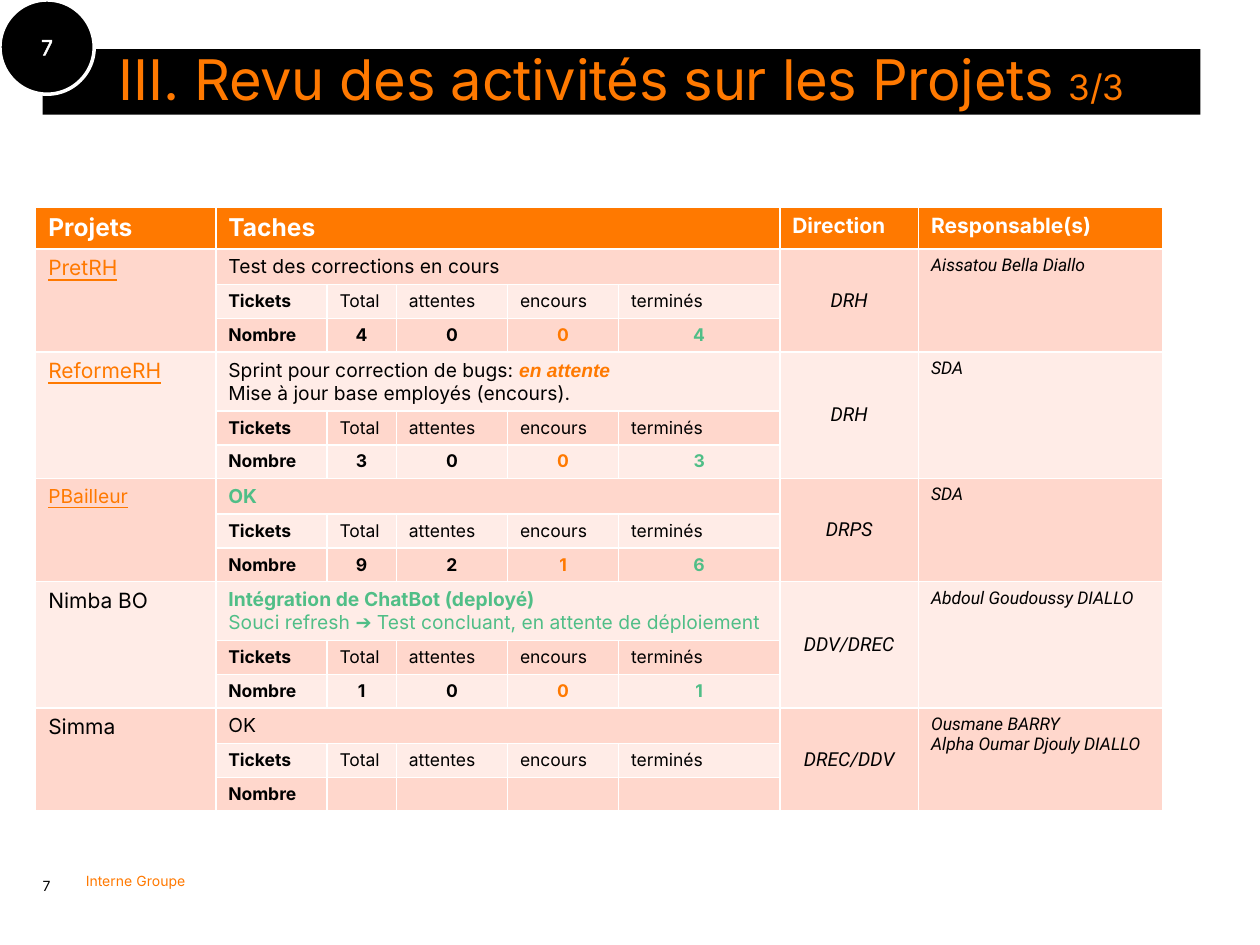
from lxml.etree import SubElement
from pptx import Presentation
from pptx.dml.color import RGBColor
from pptx.enum.shapes import MSO_SHAPE
from pptx.enum.text import MSO_ANCHOR, PP_ALIGN
from pptx.oxml import parse_xml
from pptx.oxml.ns import nsdecls, qn
from pptx.util import Cm, Pt

ORANGE = RGBColor(0xFF, 0x79, 0x00)
GREEN = RGBColor(0x50, 0xBE, 0x87)
BLACK = RGBColor(0, 0, 0)
WHITE = RGBColor(0xFF, 0xFF, 0xFF)
BANDS = RGBColor(0xFF, 0xD7, 0xCC), RGBColor(0xFF, 0xEC, 0xE7)

# Content: a text is a list of paragraphs, each a list of (words, format) runs
PAGE = "7"
TITLE = [[("III. Revu des activités sur les Projets ", {}), ("3/3", {"size": 20})]]
FOOTER = "Interne Groupe"
HEADERS = [(0, "Projets", 14), (1, "Taches", 14), (6, "Direction", 12), (7, "Responsable(s)", 12)]
TICKETS = ["Tickets", "Total", "attentes", "encours", "terminés"]
COUNT_COLORS = [BLACK, BLACK, ORANGE, GREEN]
LINK = {"color": ORANGE, "underline": True}
DONE = {"color": GREEN, "bold": True}
PROJECTS = [
    {"name": "PretRH", "style": {"size": 12, **LINK},
     "tasks": [[("Test des corrections en cours", {})]],
     "counts": ["4", "0", "0", "4"], "unit": "DRH", "owners": ["Aissatou Bella Diallo"]},
    {"name": "ReformeRH", "style": {"size": 12, **LINK},
     "tasks": [[("Sprint pour correction de bugs: ", {}),
                ("en attente", {"font": "Arial", "color": ORANGE, "bold": True, "italic": True})],
               [("Mise à jour base employés (encours).", {})]],
     "counts": ["3", "0", "0", "3"], "unit": "DRH", "owners": ["SDA"]},
    {"name": "PBailleur", "style": {"size": 11, **LINK},
     "tasks": [[("OK", DONE)]],
     "counts": ["9", "2", "1", "6"], "unit": "DRPS", "owners": ["SDA"]},
    {"name": "Nimba BO", "style": {"size": 12},
     "tasks": [[("Intégration de ChatBot (deployé)", DONE)],
               [("Souci refresh ➔ Test concluant, en attente de déploiement", {"color": GREEN})]],
     "counts": ["1", "0", "0", "1"], "unit": "DDV/DREC", "owners": ["Abdoul Goudoussy DIALLO"]},
    {"name": "Simma", "style": {"size": 12},
     "tasks": [[("OK", {})]],
     "counts": ["", "", "", ""], "unit": "DREC/DDV",
     "owners": ["Ousmane BARRY", "Alpha Oumar Djouly DIALLO"]},
]
COL_WIDTHS = [3.63, 2.24, 1.4, 2.24, 2.24, 3.25, 2.8, 4.92]
HEADER_H, TICKET_H = 0.84, 0.67
TASK_H = {1: 0.72, 2: 1.19}  # by number of lines


def write(tf, text, align=PP_ALIGN.LEFT, line=None, **fmt):
    """Fill a text frame with a string or with paragraphs of runs."""
    paragraphs = [[(text, {})]] if isinstance(text, str) else text
    for i, runs in enumerate(paragraphs):
        p = tf.add_paragraph() if i else tf.paragraphs[0]
        p.alignment = align
        if line:
            p.line_spacing = line
        for words, own in runs:
            f = {"size": 10, "font": "Inter", "color": BLACK, **fmt, **own}
            if not words:
                SubElement(p._p, qn("a:endParaRPr")).set("sz", str(f["size"] * 100))
                continue
            r = p.add_run()
            r.text = words
            r.font.size, r.font.name = Pt(f["size"]), f["font"]
            r.font.color.rgb = f["color"]
            r.font.bold = f.get("bold", False)
            r.font.italic = f.get("italic", False)
            r.font.underline = f.get("underline", False)
            if "spacing" in f:
                r.font._element.set("spc", str(f["spacing"]))


def set_margins(tf, size=0):
    tf.margin_left = tf.margin_top = tf.margin_right = tf.margin_bottom = size


def add_label(text, box, wrap=True, anchor=MSO_ANCHOR.TOP, **fmt):
    tf = s.shapes.add_textbox(*map(Cm, box)).text_frame
    set_margins(tf)
    tf.word_wrap, tf.vertical_anchor = wrap, anchor
    write(tf, text, **fmt)


def fill_cell(row, col, text, fill, span=(1, 1), anchor=MSO_ANCHOR.TOP, **fmt):
    cell = table.cell(row, col)
    if span != (1, 1):
        cell.merge(table.cell(row + span[0] - 1, col + span[1] - 1))
    cell.fill.solid()
    cell.fill.fore_color.rgb = fill
    cell.vertical_anchor = anchor
    write(cell.text_frame, text, **fmt)


prs = Presentation()
prs.slide_width, prs.slide_height = Cm(25.4), Cm(19.05)
s = prs.slides.add_slide(prs.slide_layouts[5])

# Title bar
title = s.shapes.title
title.left, title.top, title.width, title.height = map(Cm, (0.86, 0.99, 23.34, 1.32))
title.fill.solid()
title.fill.fore_color.rgb = BLACK
set_margins(title.text_frame)
title.text_frame.vertical_anchor = MSO_ANCHOR.MIDDLE
write(title.text_frame, TITLE, align=PP_ALIGN.CENTER, line=0.9,
      size=32, color=ORANGE, spacing=-20)

# Footer
add_label(PAGE, (0.86, 16.79, 0.76, 1.24), anchor=MSO_ANCHOR.BOTTOM, line=0.85, size=8)
add_label(FOOTER, (1.73, 17.58, 2.06, 0.33), wrap=False, size=8, color=ORANGE)

# Project table: one header row, then three rows for each project
heights = [HEADER_H]
for project in PROJECTS:
    heights += [TASK_H[len(project["tasks"])], TICKET_H, TICKET_H]
table = s.shapes.add_table(len(heights), len(COL_WIDTHS), Cm(0.72), Cm(4.17),
                           Cm(sum(COL_WIDTHS)), Cm(sum(heights))).table
for column, width in zip(table.columns, COL_WIDTHS):
    column.width = Cm(width)
for row, height in zip(table.rows, heights):
    row.height = Cm(height)

for col, text, size in HEADERS:
    fill_cell(0, col, text, ORANGE, span=(1, 5 if col == 1 else 1),
              size=size, color=WHITE, bold=True)

for i, project in enumerate(PROJECTS):
    top = 1 + 3 * i
    band, other = BANDS[i % 2], BANDS[(i + 1) % 2]
    fill_cell(top, 0, project["name"], band, span=(3, 1), **project["style"])
    fill_cell(top, 1, project["tasks"], band, span=(1, 5), size=11)
    fill_cell(top, 6, project["unit"], band, span=(3, 1), anchor=MSO_ANCHOR.MIDDLE,
              align=PP_ALIGN.CENTER, size=11, font="Roboto", italic=True)
    fill_cell(top, 7, [[(owner, {})] for owner in project["owners"]], band,
              span=(3, 1), font="Roboto", italic=True)
    for col, text in enumerate(TICKETS, 1):
        fill_cell(top + 1, col, text, other, bold=col == 1)
    fill_cell(top + 2, 1, "Nombre", band, bold=True)
    for col, (count, color) in enumerate(zip(project["counts"], COUNT_COLORS), 2):
        fill_cell(top + 2, col, count, band, align=PP_ALIGN.CENTER, color=color, bold=True)

# Page number badge
badge = s.shapes.add_shape(MSO_SHAPE.OVAL, 0, 0, Cm(1.9), Cm(1.9))
badge.shadow.inherit = False
badge.fill.solid()
badge.fill.fore_color.rgb = BLACK
badge.line.color.rgb = WHITE
badge.line.width = Pt(2)
tf = badge.text_frame
tf.vertical_anchor = MSO_ANCHOR.MIDDLE
write(tf, PAGE, align=PP_ALIGN.CENTER, size=12, color=WHITE)
outline = parse_xml(f'<a:ln {nsdecls("a")} w="9525"><a:solidFill>'
                    f'<a:srgbClr val="{WHITE}"/></a:solidFill></a:ln>')
tf.paragraphs[0].runs[0].font._element.insert(0, outline)

prs.save("out.pptx")
